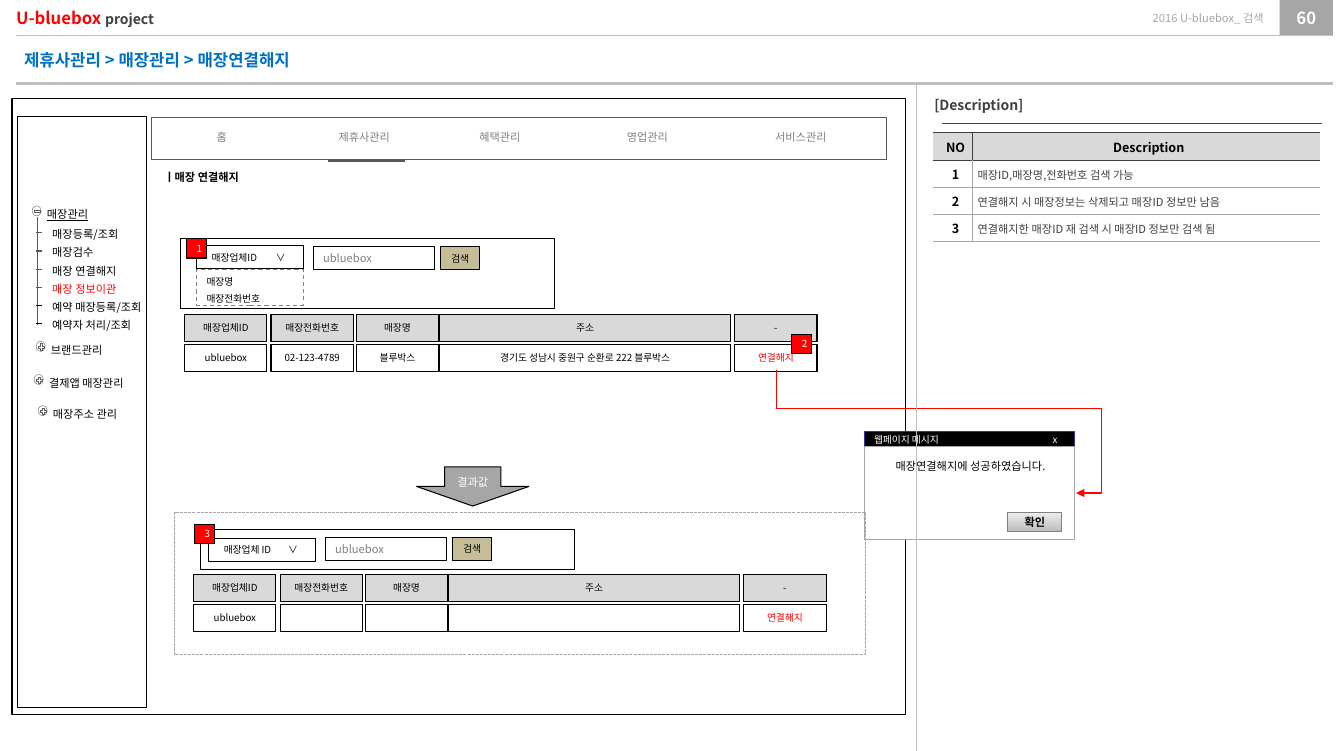
import collections
import lxml.etree
import pptx
import pptx.dml.color
import pptx.enum.dml
import pptx.enum.shapes
import pptx.enum.text
import pptx.oxml.ns
import pptx.util

Inches = pptx.util.Inches
SHAPE = pptx.enum.shapes.MSO_SHAPE
ALIGN = pptx.enum.text.PP_ALIGN
ANCHOR = pptx.enum.text.MSO_ANCHOR
DASH = pptx.enum.dml.MSO_LINE
FONT = "Noto Sans CJK KR"
Box = collections.namedtuple("Box", "left top width height")


def color(value):
    return pptx.dml.color.RGBColor.from_string(value)


def node(parent, tag, **attributes):
    return lxml.etree.SubElement(parent, pptx.oxml.ns.qn(tag), attributes)


def inner(box, left, top, width, height):
    return Box(box.left + left, box.top + top, width, height)


def add_span(para, text, size, ink="000000", bold=False, underline=False):
    span = para.add_run()
    span.text = text
    span.font.size = pptx.util.Pt(size)
    span.font.bold = bold
    if underline:
        span.font.underline = True
    span.font.color.rgb = color(ink)
    span.font.name = FONT
    node(span.font._element, "a:ea", typeface=FONT)


def set_frame(frame, anchor=ANCHOR.MIDDLE, insets=(0.1, 0.05, 0.1, 0.05)):
    frame.word_wrap = True
    frame.auto_size = pptx.enum.text.MSO_AUTO_SIZE.NONE
    frame.vertical_anchor = anchor
    frame.margin_left, frame.margin_top, frame.margin_right, frame.margin_bottom = map(Inches, insets)


def add_tab(para, position):
    stops = node(para._p.get_or_add_pPr(), "a:tabLst")
    node(stops, "a:tab", pos=str(Inches(position)), algn="l")


def add_text(page, box, spans, align=ALIGN.LEFT, anchor=ANCHOR.TOP, insets=(0.1, 0.05, 0.1, 0.05)):
    frame = page.shapes.add_textbox(*map(Inches, box)).text_frame
    set_frame(frame, anchor, insets)
    para = frame.paragraphs[0]
    para.alignment = align
    for span in spans:
        add_span(para, *span)


def add_block(page, box, fill=None, line="000000", text="", size=7, ink="000000", align=ALIGN.CENTER,
              kind=SHAPE.RECTANGLE, weight=0.75, dash=None, bold=False, tab=None,
              insets=(0.1, 0.05, 0.1, 0.05)):
    shape = page.shapes.add_shape(kind, *map(Inches, box))
    shape.shadow.inherit = False
    if fill:
        shape.fill.solid()
        shape.fill.fore_color.rgb = color(fill)
    else:
        shape.fill.background()
    if line:
        shape.line.color.rgb = color(line)
        shape.line.width = pptx.util.Pt(weight)
        if dash:
            shape.line.dash_style = dash
    else:
        shape.line.fill.background()
    if text:
        set_frame(shape.text_frame, insets=insets)
        para = shape.text_frame.paragraphs[0]
        para.alignment = align
        if tab:
            add_tab(para, tab)
        add_span(para, text, size, ink, bold)
    return shape


def add_line(page, start, end, ink, weight, kind=pptx.enum.shapes.MSO_CONNECTOR.STRAIGHT):
    line = page.shapes.add_connector(kind, *map(Inches, start + end))
    line.line.color.rgb = color(ink)
    line.line.width = pptx.util.Pt(weight)
    node(line._element.spPr, "a:effectLst")
    return line


def draw_header(page, box):
    right = box.left + box.width
    number = inner(box, 12.75, 0, 0.53, 0.35)
    add_block(page, number, "A6A6A6", None, "60", 12, "FFFFFF", bold=True, insets=(0, 0, 0, 0))
    for top, weight in ((0.83, 2.25), (0.35, 0.25)):
        add_line(page, (box.left + 0.16, box.top + top), (right, box.top + top), "BFBFBF", weight)
    add_text(page, inner(box, 10.32, 0, 2.27, 0.35), [("2016 U-bluebox_ 검색", 8, "A6A6A6")],
             ALIGN.RIGHT, ANCHOR.MIDDLE, (0, 0, 0, 0))
    add_text(page, inner(box, 0.16, 0, 2.05, 0.35),
             [("U-bluebox ", 12, "FF0000", True), ("project", 10, "404040", True)],
             anchor=ANCHOR.MIDDLE, insets=(0, 0, 0, 0))
    title = page.shapes.title
    title.left, title.top, title.width, title.height = map(Inches, inner(box, 0.12, 0.42, 6.54, 0.36))
    set_frame(title.text_frame, insets=(0.12, 0.06, 0.12, 0.06))
    para = title.text_frame.paragraphs[0]
    para.alignment = ALIGN.LEFT
    add_span(para, "제휴사관리 > 매장관리 > 매장연결해지", 12, "0070C0", True)


def format_cell(cell, text, size, ink, bold, align, fill, borders):
    cell.margin_left = Inches(0.05)
    cell.margin_top = cell.margin_right = cell.margin_bottom = 0
    cell.vertical_anchor = ANCHOR.MIDDLE
    for side, ink_line in zip(("L", "R", "T", "B"), borders):
        edge = node(cell._tc.get_or_add_tcPr(), "a:ln" + side, w="12700")
        if ink_line:
            node(node(edge, "a:solidFill"), "a:srgbClr", val=ink_line)
        else:
            node(edge, "a:noFill")
    if fill:
        cell.fill.solid()
        cell.fill.fore_color.rgb = color(fill)
    else:
        cell.fill.background()
    para = cell.text_frame.paragraphs[0]
    para.alignment = align
    add_span(para, text, size, ink, bold)


def draw_description(page, box):
    add_text(page, inner(box, 0, 0, 1.74, 0.27), [("[Description]", 10, "404040", True)])
    add_line(page, (box.left + 0.18, box.top + 0.32), (box.left + box.width, box.top + 0.32), "404040", 0.5)
    rows = [("NO", "Description"), ("1", "매장ID,매장명,전화번호 검색 가능"),
            ("2", "연결해지 시 매장정보는 삭제되고 매장ID 정보만 남음"),
            ("3", "연결해지한 매장ID 재 검색 시 매장ID 정보만 검색 됨")]
    table = page.shapes.add_table(4, 2, *map(Inches, inner(box, 0.09, 0.41, 3.85, 1.09))).table
    table.first_row = table.horz_banding = False
    table.columns[0].width, table.columns[1].width = Inches(0.39), Inches(3.46)
    for index, (number, note) in enumerate(rows):
        head = index == 0
        table.rows[index].height = Inches(0.28 if head else 0.27)
        fill = "D9D9D9" if head else None
        edge = "404040" if head else "A6A6A6"
        upper = "404040" if index < 2 else "A6A6A6"
        format_cell(table.cell(index, 0), number, 9, "000000", True, ALIGN.CENTER, fill,
                    (None, edge, upper, edge))
        format_cell(table.cell(index, 1), note, 9 if head else 8, "000000" if head else "404040", head,
                    ALIGN.CENTER if head else ALIGN.LEFT, fill, (edge, None, upper, edge))


def draw_grid(page, box, values):
    heads = ["매장업체ID", "매장전화번호", "매장명", "주소", "-"]
    for row, (texts, fill) in enumerate(((heads, "D9D9D9"), (values, "FFFFFF"))):
        for column, (left, text) in enumerate(zip((0, 0.86, 1.71, 2.54, 5.48), texts)):
            ink = "FF0000" if text == "연결해지" else "000000"
            cell = inner(box, left, row * 0.3, 2.9 if column == 3 else 0.82, 0.27)
            add_block(page, cell, fill, text=text, ink=ink)


def draw_search(page, box, label, indent, drop):
    add_block(page, box)
    add_block(page, inner(box, indent, drop, 1.06, 0.23), "FFFFFF", text=label + "\t∨",
              align=ALIGN.LEFT, tab=0.64, insets=(0.15, 0.05, 0, 0.05))
    add_block(page, inner(box, indent + 1.16, 0.08, 1.21, 0.23), "FFFFFF", text="ubluebox",
              size=8, ink="808080", align=ALIGN.LEFT)
    add_block(page, inner(box, indent + 2.43, 0.08, 0.39, 0.23), "C4BD97", text="검색")


def draw_options(page, box):
    shape = add_block(page, box, "FFFFFF", "808080", dash=DASH.DASH)
    set_frame(shape.text_frame)
    for index, option in enumerate(("매장명", "매장전화번호")):
        para = shape.text_frame.add_paragraph() if index else shape.text_frame.paragraphs[0]
        para.alignment = ALIGN.LEFT
        para.line_spacing = 1.5
        add_span(para, option, 7)


def draw_badge(page, left, top, number):
    add_block(page, Box(left, top, 0.2, 0.19), "FF0000", text=number, ink="FFFFFF")


def draw_popup(page, box):
    add_block(page, inner(box, 0, 0, box.width, 0.16), "000000", "333399", "웹페이지 메시지\tx",
              ink="FFFFFF", align=ALIGN.LEFT, tab=1.78)
    add_block(page, inner(box, 0, 0.15, box.width, 0.92), "FFFFFF", "A6A6A6")
    add_text(page, inner(box, 0, 0.23, 2.12, 0.24), [("매장연결해지에 성공하였습니다.", 8)], ALIGN.CENTER)
    button = add_block(page, inner(box, 1.43, 0.8, 0.54, 0.19), None, "808080", "확인", 8, bold=True,
                       insets=(0.04, 0.04, 0.04, 0.04))
    button.fill.gradient()
    button.fill.gradient_angle = 90
    for stop, tone in zip(button.fill.gradient_stops, ("BDBDBD", "EEEEEE")):
        stop.color.rgb = color(tone)


def draw_popup_arrow(page, box):
    arrow = add_line(page, (box.left, box.top), (box.left + box.width, box.top + box.height),
                     "FF0000", 0.75, pptx.enum.shapes.MSO_CONNECTOR.ELBOW)
    node(arrow.line._get_or_add_ln(), "a:tailEnd", type="triangle")
    properties = arrow._element.spPr
    frame = properties.find(pptx.oxml.ns.qn("a:xfrm"))
    frame.set("rot", "16200000")
    frame.set("flipH", "1")
    geometry = properties.find(pptx.oxml.ns.qn("a:prstGeom"))
    geometry.set("prst", "bentConnector4")
    guides = geometry.find(pptx.oxml.ns.qn("a:avLst"))
    for name, value in (("adj1", 31100), ("adj2", 108400)):
        node(guides, "a:gd", name=name, fmla=f"val {value}")


def draw_menu_heading(page, box, text, sign=SHAPE.MATH_PLUS, underline=False):
    add_block(page, inner(box, 0, 0, 0.09, 0.1), "FFFFFF", "595959", kind=SHAPE.OVAL, weight=0.25)
    add_block(page, inner(box, 0.01, 0.01, 0.08, 0.09), None, "595959", kind=sign, weight=0.25)
    add_text(page, inner(box, 0.05, -0.03, box.width, 0.24), [(text, 8, "000000", False, underline)])


def draw_sidebar(page, box):
    add_block(page, box, "FFFFFF")
    draw_menu_heading(page, inner(box, 0.15, 0.89, 1.06, 0.24), "매장관리", SHAPE.MATH_MINUS, True)
    for left, top, text in ((0.19, 2.24, "브랜드관리"), (0.17, 2.57, "결제앱 매장관리"),
                            (0.21, 2.88, "매장주소 관리")):
        draw_menu_heading(page, inner(box, left, top, 1.06, 0.24), text)
    trunk = box.left + 0.2
    add_line(page, (trunk, box.top + 1), (trunk, box.top + 2.08), "595959", 0.5)
    items = ["매장등록/조회", "매장검수", "매장 연결해지", "매장 정보이관", "예약 매장등록/조회", "예약자 처리/조회"]
    menu = page.placeholders[1]
    menu.left, menu.top, menu.width, menu.height = map(Inches, inner(box, 0.25, 1.01, 1.26, 1.2))
    set_frame(menu.text_frame, ANCHOR.TOP)
    for index, item in enumerate(items):
        para = menu.text_frame.add_paragraph() if index else menu.text_frame.paragraphs[0]
        para.line_spacing = pptx.util.Pt(13)
        para.space_before = pptx.util.Pt(0)
        settings = para._p.get_or_add_pPr()
        settings.set("marL", "0")
        settings.set("indent", "0")
        node(settings, "a:buNone")
        add_span(para, item, 8, "FF0000" if item == "매장 정보이관" else "000000")
        level = box.top + 1.16 + index * 0.18
        add_line(page, (trunk - 0.01, level), (trunk + 0.05, level), "000000" if index > 3 else "595959", 0.75)


def draw_navigation(page, box):
    add_block(page, box, "FFFFFF", "595959", weight=0.5)
    tabs = ((0.16, "홈"), (1.58, "제휴사관리"), (2.93, "혜택관리"), (4.4, "영업관리"), (5.93, "서비스관리"))
    for left, text in tabs:
        add_text(page, inner(box, left, 0.08, 1.08, 0.24), [(text, 8, "808080")], ALIGN.CENTER)
    base = box.top + 0.43
    add_line(page, (box.left + 1.76, base), (box.left + 2.53, base), "595959", 2.25)


def main():
    deck = pptx.Presentation()
    deck.slide_width, deck.slide_height = Inches(13.39), Inches(7.48)
    page = deck.slides.add_slide(deck.slide_layouts[1])
    draw_header(page, Box(0, 0, 13.28, 0.83))
    add_block(page, Box(0.12, 0.98, 8.9, 6.14))
    draw_description(page, Box(9.21, 0.91, 3.96, 1.5))
    add_text(page, Box(1.54, 1.65, 1.34, 0.24), [("ㅣ매장 연결해지", 8, "000000", True)])
    draw_grid(page, Box(1.84, 3.13, 6.3, 0.57),
              ["ubluebox", "02-123-4789", "블루박스", "경기도 성남시 중원구 순환로 222 블루박스", "연결해지"])
    draw_popup(page, Box(8.61, 4.3, 2.1, 1.07))
    draw_popup_arrow(page, Box(8.62, 2.81, 1.22, 2.98))
    draw_grid(page, Box(1.93, 5.72, 6.3, 0.57), ["ubluebox", "", "", "", "연결해지"])
    add_block(page, Box(4.15, 4.65, 1.12, 0.39), "A6A6A6", text="결과값", size=8, ink="FFFFFF",
              kind=SHAPE.DOWN_ARROW)
    add_block(page, Box(1.74, 5.1, 6.88, 1.42), line="A6A6A6", dash=DASH.SQUARE_DOT)
    draw_search(page, Box(2, 5.27, 3.72, 0.4), "매장업체 ID", 0.08, 0.09)
    draw_sidebar(page, Box(0.17, 1.16, 1.29, 5.89))
    draw_navigation(page, Box(1.51, 1.17, 7.32, 0.42))
    draw_search(page, Box(1.8, 2.38, 3.72, 0.69), "매장업체ID", 0.16, 0.07)
    draw_options(page, Box(1.96, 2.68, 1.06, 0.36))
    for left, top, number in ((1.86, 2.38, "1"), (7.89, 3.33, "2"), (1.94, 5.22, "3")):
        draw_badge(page, left, top, number)
    add_line(page, (9.13, 0.83), (9.13, 7.48), "BFBFBF", 0.75)
    sidebar_menu = page.placeholders[1]._element
    page.shapes._spTree.append(sidebar_menu)
    deck.save("out.pptx")


if __name__ == "__main__":
    main()
